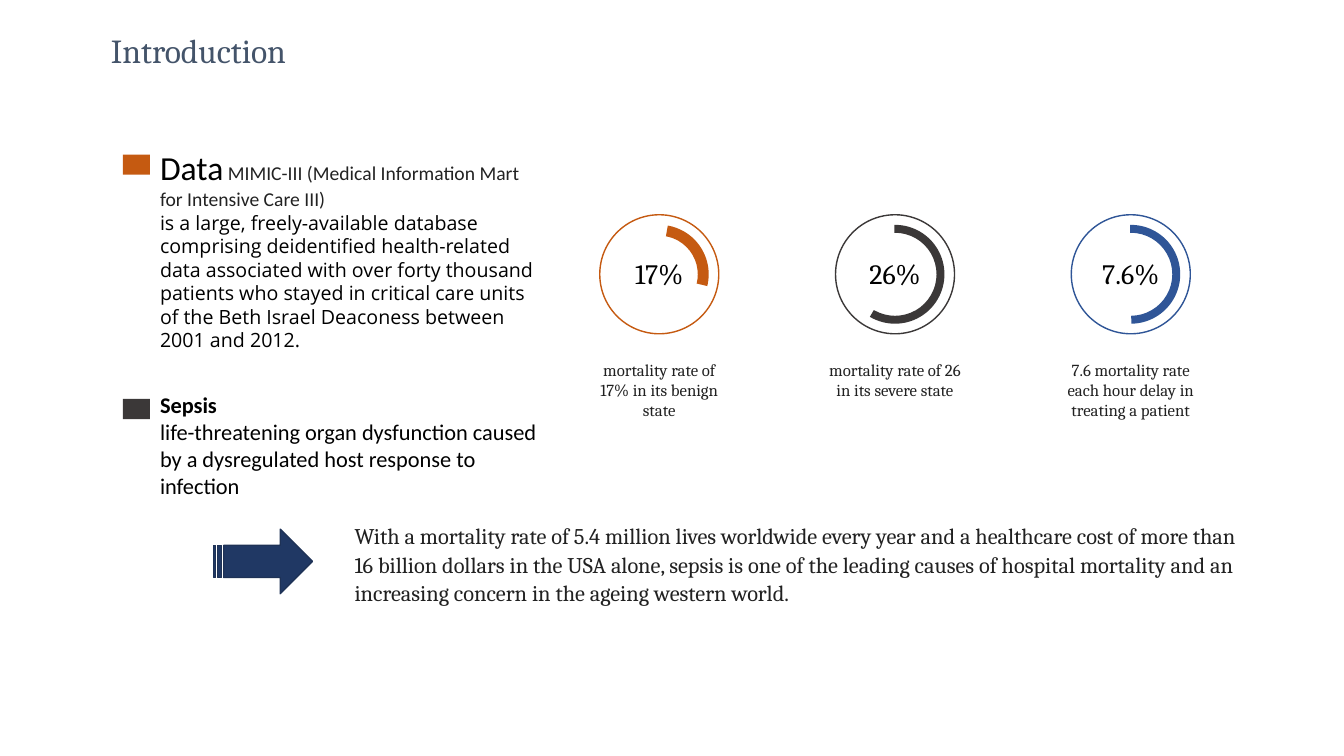
from pptx import Presentation
from pptx import util as u
from pptx.dml.color import RGBColor
from pptx.enum import shapes, text

Pt = u.Pt
BLACK = RGBColor(0x00, 0x00, 0x00)
INK = RGBColor(0x21, 0x21, 0x21)
DARK = RGBColor(0x22, 0x22, 0x22)
SLATE = RGBColor(0x44, 0x54, 0x6A)
ORANGE = RGBColor(0xC5, 0x5A, 0x11)
CHARCOAL = RGBColor(0x3B, 0x38, 0x38)
BLUE = RGBColor(0x2F, 0x55, 0x97)
NAVY = RGBColor(0x20, 0x38, 0x64)
NAVY_EDGE = RGBColor(0x1E, 0x32, 0x56)

SHAPE = shapes.MSO_SHAPE
CENTER = text.PP_ALIGN.CENTER

RATES = [
    ("17%", "mortality rate of 17% in its benign state", ORANGE, (167.98, 8.32, 0.11)),
    ("26%", "mortality rate of 26 in its severe state", CHARCOAL, (161.47, 72.36, 0.08)),
    ("7.6%", "7.6 mortality rate each hour delay in treating a patient", BLUE, (161.47, 53.63, 0.08)),
]
DATA = (
    "is a large, freely-available database comprising deidentified health-related data "
    "associated with over forty thousand patients who stayed in critical care units of "
    "the Beth Israel Deaconess between 2001 and 2012."
)
IMPACT = (
    "With a mortality rate of 5.4 million lives worldwide every year and a healthcare cost "
    "of more than 16 billion dollars in the USA alone, sepsis is one of the leading causes "
    "of hospital mortality and an increasing concern in the ageing western world."
)


def write(paragraph, words, size=14, font="Cambria", color=BLACK, bold=False):
    """Append a formatted run to a paragraph."""
    run = paragraph.add_run()
    run.text = words
    run.font.size = Pt(size)
    run.font.name = font
    run.font.bold = bold
    run.font.color.rgb = color


def add_box(slide, left, top, width, height, wrap=True):
    """Add an empty text box and return its text frame."""
    frame = slide.shapes.add_textbox(Pt(left), Pt(top), Pt(width), Pt(height)).text_frame
    frame.word_wrap = wrap
    return frame


def add_figure(slide, kind, left, top, width, height, fill=None, line=None):
    """Add a flat preset shape with an optional fill and outline."""
    figure = slide.shapes.add_shape(kind, Pt(left), Pt(top), Pt(width), Pt(height))
    figure.shadow.inherit = False
    if fill is None:
        figure.fill.background()
    else:
        figure.fill.solid()
        figure.fill.fore_color.rgb = fill
    if line is None:
        figure.line.fill.background()
    else:
        figure.line.color.rgb = line
        figure.line.width = Pt(1)
    return figure


def add_heading(slide, left, top, width, height):
    """Place the slide title."""
    title = slide.shapes.title
    title.left, title.top, title.width, title.height = map(Pt, (left, top, width, height))
    frame = title.text_frame
    frame.auto_size = text.MSO_AUTO_SIZE.NONE
    frame.vertical_anchor = text.MSO_ANCHOR.TOP
    heading = frame.paragraphs[0]
    heading.alignment = text.PP_ALIGN.LEFT
    heading.line_spacing = Pt(22.5)
    write(heading, "Introduction", size=24, color=SLATE)


def add_topic(slide, left, top, width, height, marker, lead, body):
    """Add a marker square with a lead line and body text; each part is (words, format)."""
    marker_width = 19.4
    add_figure(slide, SHAPE.RECTANGLE, left, top + 9, marker_width, 14.4, fill=marker)
    frame = add_box(slide, left + marker_width, top, width - marker_width, height)
    for words, style in lead:
        write(frame.paragraphs[0], words, **style)
    words, style = body
    write(frame.add_paragraph(), words, **style)


def add_rate(slide, left, top, width, value, label, color, angles):
    """Add a ring gauge with its value and the label beneath it."""
    ring, inset = 85, 7.2
    ring_left = left + (width - ring) / 2
    add_figure(slide, SHAPE.OVAL, ring_left, top, ring, ring, line=color)
    arc_size = ring - 2 * inset
    arc = add_figure(slide, SHAPE.BLOCK_ARC, ring_left + inset, top + inset,
                     arc_size, arc_size, fill=color)
    for index, angle in enumerate(angles):
        arc.adjustments[index] = angle
    parts = [(value, 26.6, 31.7, 20, BLACK, False), (label, 100, 51, 12, INK, True)]
    for words, offset, height, size, ink, wrap in parts:
        line = add_box(slide, left, top + offset, width, height, wrap).paragraphs[0]
        line.alignment = CENTER
        write(line, words, size=size, color=ink)


def add_impact(slide, left, top, width, height):
    """Add the arrow and the closing statement."""
    add_figure(slide, SHAPE.STRIPED_RIGHT_ARROW, left, top + 9.4, 70.6, 46.1,
               fill=NAVY, line=NAVY_EDGE)
    offset = 93.6
    statement = add_box(slide, left + offset, top, width - offset, height).paragraphs[0]
    statement.line_spacing = 1.06
    write(statement, IMPACT, size=16, color=INK)


def build_introduction(deck):
    """Build the introduction slide."""
    slide = deck.slides.add_slide(deck.slide_layouts[5])
    add_heading(slide, 72, 23.8, 480, 30)
    calibri = {"font": "Calibri"}
    add_topic(slide, 87.8, 101.4, 306.4, 155, ORANGE,
              [("Data", {"size": 24, **calibri}),
               (" MIMIC-III (Medical Information Mart for Intensive Care III)",
                {"color": DARK, **calibri})],
              (DATA, {"font": "Open Sans"}))
    add_topic(slide, 87.8, 276, 306.4, 104, CHARCOAL,
              [("Sepsis", {"size": 16, "bold": True, **calibri})],
              ("life-threatening organ dysfunction caused by a dysregulated host response "
               "to infection", {"size": 16, **calibri}))
    for column, rate in enumerate(RATES):
        add_rate(slide, 416.2 + 168.4 * column, 153.4, 109.4, *rate)
    add_impact(slide, 152.6, 368.6, 750.2, 67.7)


def main():
    """Create and save the deck."""
    deck = Presentation()
    deck.slide_width, deck.slide_height = Pt(960), Pt(540)
    build_introduction(deck)
    deck.save("out.pptx")


if __name__ == "__main__":
    main()
